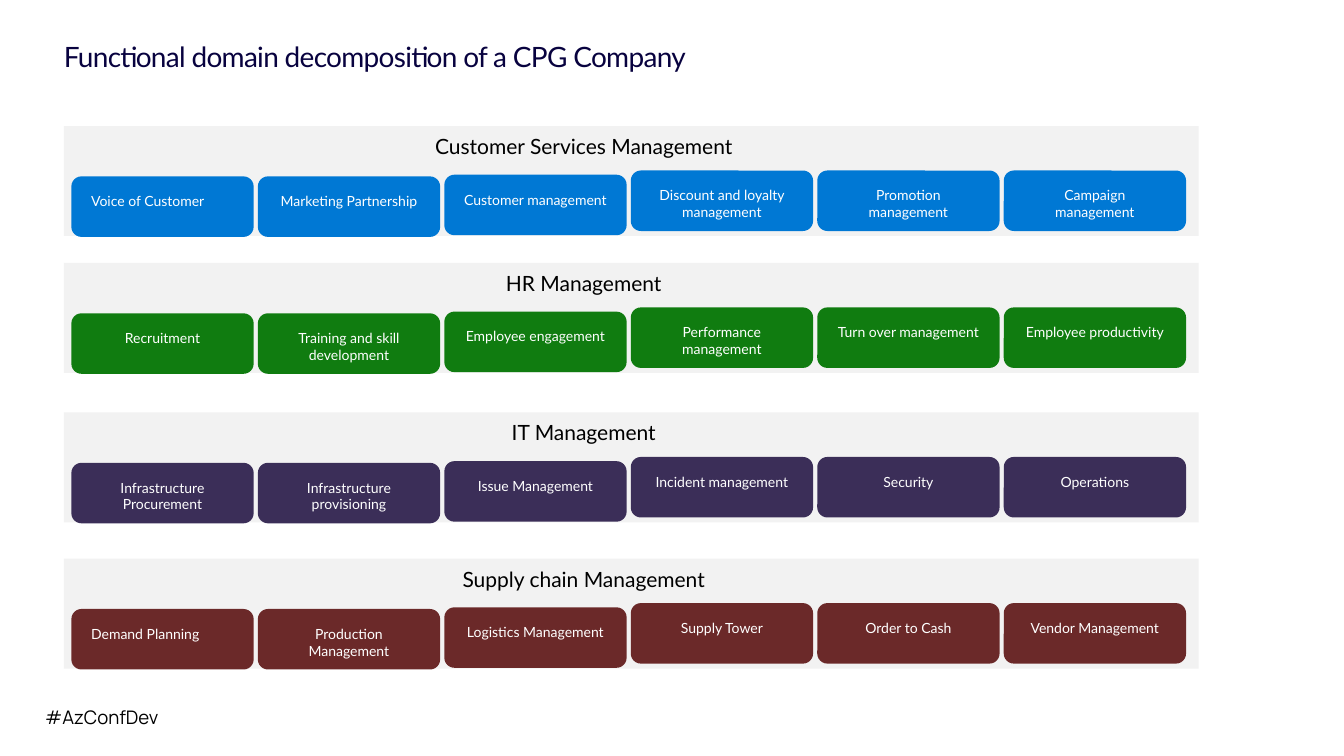
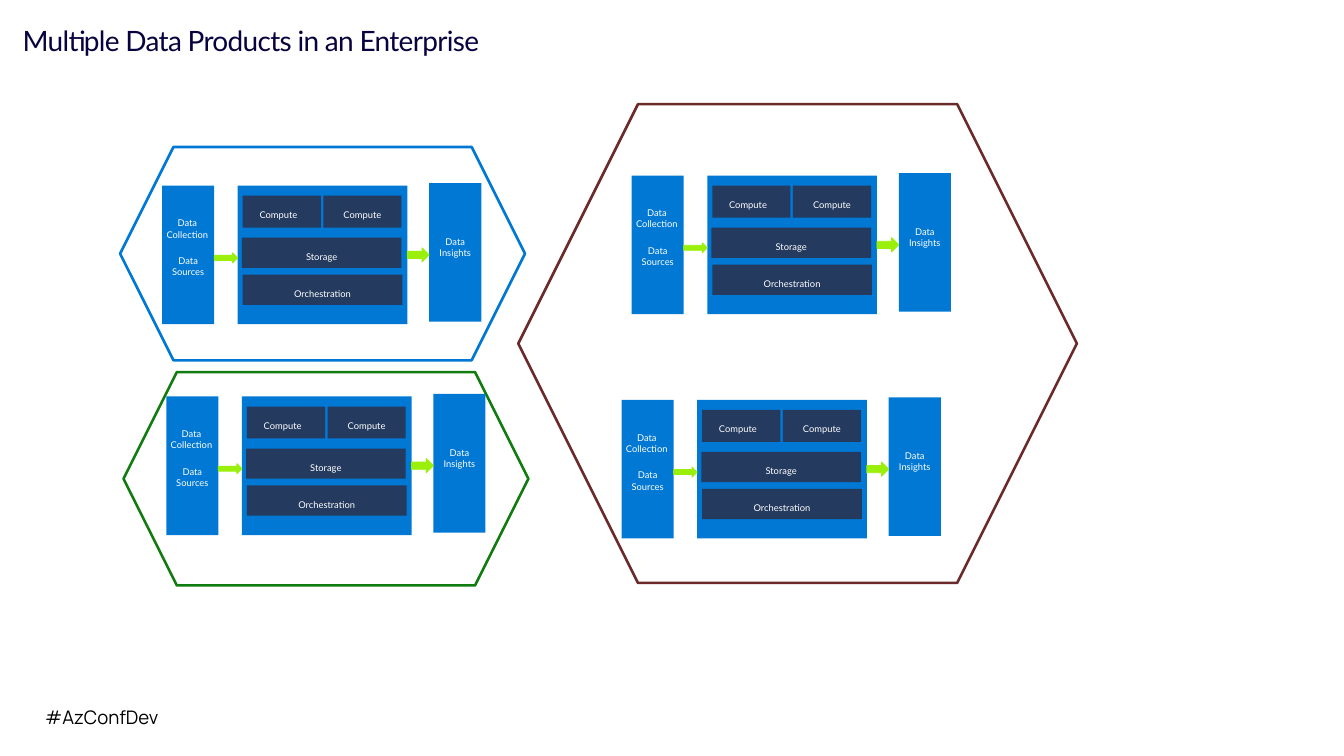
from pptx import Presentation
from pptx import util as u
from pptx.dml.color import RGBColor
from pptx.enum import shapes, text

COLORS = {
    "ink": "08023F", "black": "000000", "white": "FFFFFF", "band": "F2F2F2",
    "blue": "0078D4", "green": "107C10", "purple": "3B2E58", "maroon": "6B2929",
    "navy": "243A5E", "lime": "9BF00B",
}
KIND = shapes.MSO_SHAPE
LEFT, CENTER = text.PP_ALIGN.LEFT, text.PP_ALIGN.CENTER
TOP, BOTTOM = text.MSO_ANCHOR.TOP, text.MSO_ANCHOR.BOTTOM

presentation = Presentation()
presentation.slide_width, presentation.slide_height = u.Inches(16), u.Inches(9)
COLUMN = presentation.slide_width // 16
ROW = presentation.slide_height // 9
layout = presentation.slide_layouts[5]


def write(shape, content, size=12, color="white", font="Lato", align=CENTER,
          anchor=TOP, inset=(0, 0), spacing=None, fit=text.MSO_AUTO_SIZE.NONE):
    frame = shape.text_frame
    frame.text = content
    frame.word_wrap, frame.auto_size, frame.vertical_anchor = True, fit, anchor
    frame.margin_left = frame.margin_right = int(inset[0] * COLUMN)
    frame.margin_top = frame.margin_bottom = int(inset[1] * ROW)
    for paragraph in frame.paragraphs:
        paragraph.alignment = align
        for run in paragraph.runs:
            run.font.size, run.font.name = u.Pt(size), font
            run.font.color.rgb = RGBColor.from_string(COLORS[color])
            if spacing:
                run._r.get_or_add_rPr().set("spc", str(spacing))


def place(parent, kind, left, top, width, height, fill=None, line=None, weight=0.75):
    box = int(left * COLUMN), int(top * ROW), int(width * COLUMN), int(height * ROW)
    if kind is None:
        return parent.add_textbox(*box)
    shape = parent.add_shape(kind, *box)
    shape.shadow.inherit = False
    if fill:
        shape.fill.solid()
        shape.fill.fore_color.rgb = RGBColor.from_string(COLORS[fill])
    else:
        shape.fill.background()
    if line:
        shape.line.color.rgb = RGBColor.from_string(COLORS[line])
        shape.line.width = u.Pt(weight)
    else:
        shape.line.fill.background()
    return shape


slides = []
for heading, left, top, width, height in [
    ("Functional domain decomposition of a CPG Company", 0.76, 0.33, 8.76, 0.54),
    ("Multiple Data Products in an Enterprise", 0.27, 0.32, 8.55, 0.36),
]:
    slide = presentation.slides.add_slide(layout)
    title = slide.shapes.title
    title.left, title.top = int(left * COLUMN), int(top * ROW)
    title.width, title.height = int(width * COLUMN), int(height * ROW)
    write(title, heading, size=24, color="ink", align=LEFT, anchor=BOTTOM, spacing=-60)
    title.text_frame.paragraphs[0].line_spacing = 0.9
    slides.append(slide)
domain_slide, product_slide = slides

hashtag = place(domain_slide.shapes, None, 0.44, 8.35, 2.18, 0.37)
write(hashtag, "#AzConfDev", size=16, color="black", font="Manrope", align=LEFT,
      inset=(0.1, 0.05))
layout.shapes.element.append(hashtag.element)

CARD_INSET = (0.2, 0.16)
CARD_DROPS = [0.6, 0.6, 0.58, 0.53, 0.53, 0.53]
LEFT_CARDS = {"Voice of Customer", "Demand Planning"}
DOMAINS = [
    ("Customer Services Management", 1.5, "blue", [
        "Voice of Customer", "Marketing Partnership", "Customer management",
        "Discount and loyalty management", "Promotion management", "Campaign management"]),
    ("HR Management", 3.13, "green", [
        "Recruitment", "Training and skill development", "Employee engagement",
        "Performance management", "Turn over management", "Employee productivity"]),
    ("IT Management", 4.91, "purple", [
        "Infrastructure Procurement", "Infrastructure provisioning", "Issue Management",
        "Incident management", "Security", "Operations"]),
    ("Supply chain Management", 6.65, "maroon", [
        "Demand Planning", "Production Management", "Logistics Management",
        "Supply Tower", "Order to Cash", "Vendor Management"]),
]
for domain, top, color, functions in DOMAINS:
    place(domain_slide.shapes, KIND.RECTANGLE, 0.76, top, 13.51, 1.31, "band")
    label = place(domain_slide.shapes, None, 4.58, top + 0.09, 4.74, 0.3)
    write(label, domain, size=18, color="black")
    for index, (function, drop) in enumerate(zip(functions, CARD_DROPS)):
        card = place(domain_slide.shapes, KIND.ROUNDED_RECTANGLE,
                     0.85 + 2.22 * index, top + drop, 2.17, 0.72, color)
        write(card, function, align=LEFT if function in LEFT_CARDS else CENTER,
              inset=CARD_INSET)

for left, top, width, height, color in [
    (1.43, 1.75, 4.82, 2.54, "blue"),
    (1.47, 4.43, 4.82, 2.54, "green"),
    (6.17, 1.24, 6.65, 5.7, "maroon"),
]:
    place(product_slide.shapes, KIND.HEXAGON, left, top, width, height,
          line=color, weight=2.25)

PANELS = [(0, 0, 0.62), (3.18, -0.03, 0.62), (0.9, 0, 2.02)]
LAYERS = [
    ("Compute", 0.96, 0.12, 0.93, 0.38, LEFT),
    ("Compute", 1.92, 0.12, 0.93, 0.38, CENTER),
    ("Storage", 0.95, 0.62, 1.9, 0.36, CENTER),
    ("Orchestration", 0.96, 1.06, 1.9, 0.36, CENTER),
]
CAPTIONS = [("Data Collection", 0.04, 0.38), ("Data\nSources", 0.05, 0.83),
            ("Data\nInsights", 3.23, 0.6)]
ARROWS = [(0.62, 0.8, 0.28, 0.12), (2.92, 0.74, 0.26, 0.17)]

for left, top in [(1.93, 2.21), (7.52, 2.09), (1.98, 4.72), (7.4, 4.76)]:
    product = product_slide.shapes.add_group_shape().shapes
    for x, y, width in PANELS:
        place(product, KIND.RECTANGLE, left + x, top + y, width, 1.65, "blue")
    for name, x, y, width, height, align in LAYERS:
        layer = place(product, KIND.RECTANGLE, left + x, top + y, width, height, "navy")
        write(layer, name, size=8, align=align, inset=CARD_INSET)
    for caption, x, y in CAPTIONS:
        label = place(product, None, left + x, top + y, 0.52, 0.25)
        write(label, caption, size=8, fit=text.MSO_AUTO_SIZE.SHAPE_TO_FIT_TEXT)
    for x, y, width, height in ARROWS:
        place(product, KIND.RIGHT_ARROW, left + x, top + y, width, height, "lime", "lime")

presentation.save("out.pptx")
